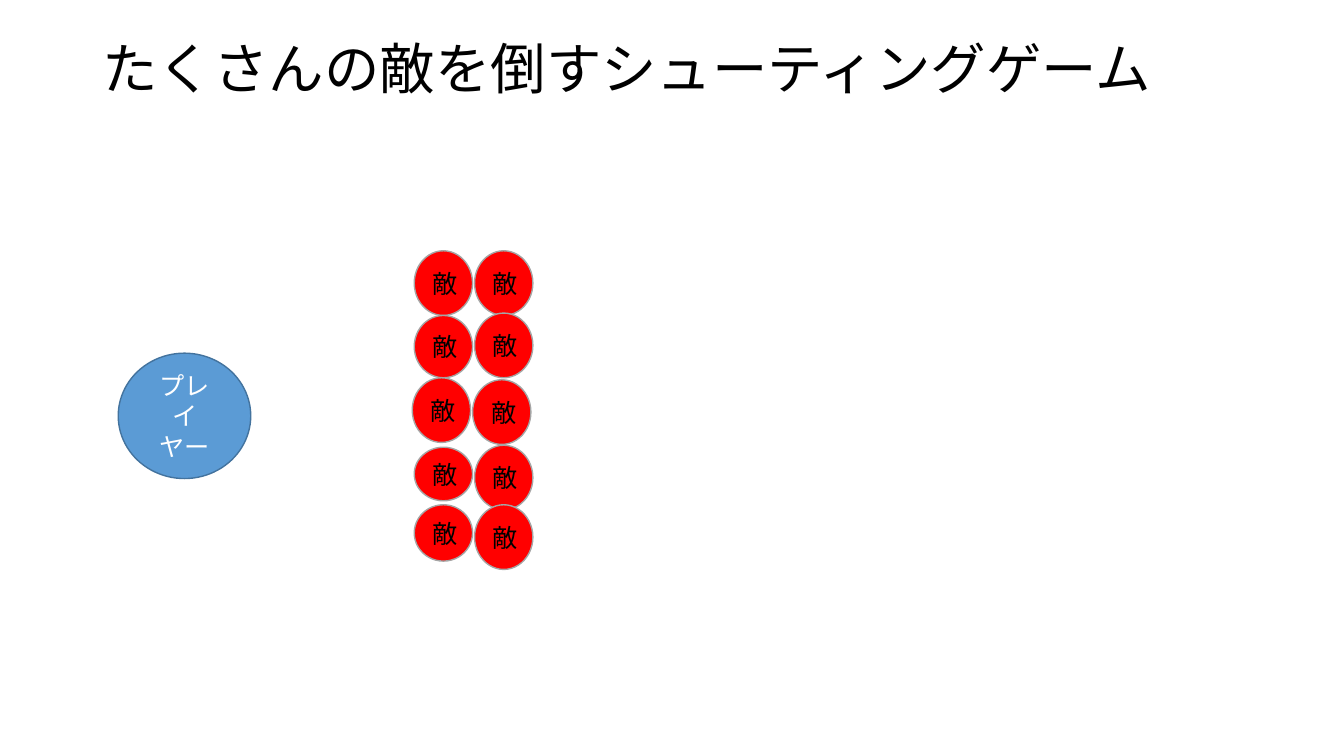
from lxml import etree
from pptx import Presentation
from pptx.dml.color import RGBColor
from pptx.enum.lang import MSO_LANGUAGE_ID
from pptx.enum.shapes import MSO_SHAPE
from pptx.enum.text import MSO_ANCHOR, PP_ALIGN
from pptx.oxml.ns import qn
from pptx.util import Cm, Pt

ELLIPSE = MSO_SHAPE.OVAL
TOP, MIDDLE = MSO_ANCHOR.TOP, MSO_ANCHOR.MIDDLE
LEFT, CENTER = PP_ALIGN.LEFT, PP_ALIGN.CENTER
JAPANESE = MSO_LANGUAGE_ID.JAPANESE
TITLE_ONLY = 5
FONT = "Noto Sans CJK JP"

PLAYER = {"fill": "5B9BD5", "line": "43739E", "text": "FFFFFF"}
ENEMY = {"fill": "FF0000", "line": "A5A5A5", "text": "000000"}

ENEMY_WIDTH = 1.47
COLUMN_PITCH = 1.52
ROW_SHIFTS = [0.05, 0.05, 0, 0.05, 0.05]
ENEMY_COLUMNS = [
    [(0, 1.63), (1.63, 1.57), (3.2, 1.63), (4.95, 1.35), (6.4, 1.42)],
    [(0, 1.63), (1.57, 1.63), (3.25, 1.63), (4.9, 1.63), (6.4, 1.63)],
]


def color(hex_value):
    return RGBColor.from_string(hex_value)


def set_all(target, values):
    for name, value in values.items():
        setattr(target, name, value)


def write(frame, wording, size, hex_value, align):
    paragraph = frame.paragraphs[0]
    paragraph.alignment = align
    run = paragraph.add_run()
    run.text = wording
    set_all(run.font, {"name": FONT, "size": Pt(size), "language_id": JAPANESE})
    run.font.color.rgb = color(hex_value)
    east_asian = etree.SubElement(run.font._element, qn("a:ea"))
    east_asian.set("typeface", FONT)
    return paragraph


def place_title(slide, left, top, width, height):
    heading = slide.shapes.title
    set_all(heading, {"left": Cm(left), "top": Cm(top),
                      "width": Cm(width), "height": Cm(height)})
    set_all(heading.text_frame, {"vertical_anchor": TOP, "word_wrap": True,
                                 "margin_top": Cm(0.03)})
    paragraph = write(heading.text_frame, "たくさんの敵を倒すシューティングゲーム",
                      39.6, "000000", LEFT)
    paragraph.line_spacing = 0.9


def place_character(slide, wording, look, left, top, width, height):
    character = slide.shapes.add_shape(ELLIPSE, Cm(left), Cm(top), Cm(width), Cm(height))
    character.shadow.inherit = False
    character.fill.solid()
    character.fill.fore_color.rgb = color(look["fill"])
    character.line.color.rgb = color(look["line"])
    character.line.width = Pt(1)
    set_all(character.text_frame, {"vertical_anchor": MIDDLE, "word_wrap": True})
    write(character.text_frame, wording, 18, look["text"], CENTER)


def place_enemies(slide, left, top):
    for column, rows in enumerate(ENEMY_COLUMNS):
        for shift, (offset, height) in zip(ROW_SHIFTS, rows):
            place_character(slide, "敵", ENEMY, left + shift + column * COLUMN_PITCH,
                            top + offset, ENEMY_WIDTH, height)


def main():
    deck = Presentation()
    set_all(deck, {"slide_width": Cm(33.87), "slide_height": Cm(19.05)})
    slide = deck.slides.add_slide(deck.slide_layouts[TITLE_ONLY])
    place_title(slide, 2.33, 1.01, 29.21, 3.68)
    place_character(slide, "プレイヤー", PLAYER, 2.98, 8.9, 3.34, 3.16)
    place_enemies(slide, 10.39, 6.32)
    deck.save("out.pptx")


if __name__ == "__main__":
    main()
